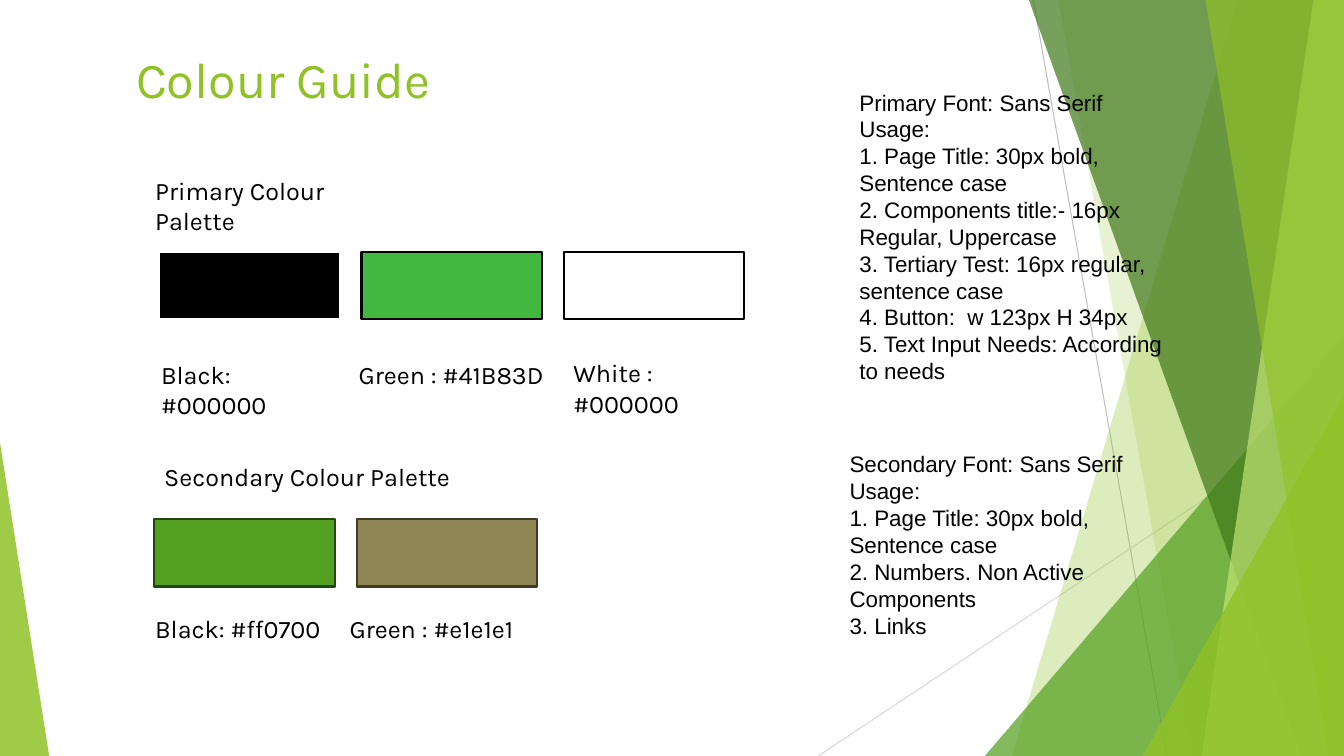
import pptx
import pptx.dml.color
import pptx.enum.shapes
import pptx.enum.text
import pptx.oxml.ns
import pptx.util
from lxml import etree

Cm = pptx.util.Cm
Pt = pptx.util.Pt
RGBColor = pptx.dml.color.RGBColor
SHAPE = pptx.enum.shapes.MSO_SHAPE
qn = pptx.oxml.ns.qn

BLACK = RGBColor(0x00, 0x00, 0x00)
WHITE = RGBColor(0xFF, 0xFF, 0xFF)
LIME = RGBColor(0x90, 0xC2, 0x26)
PALE_LIME = RGBColor(0xC0, 0xE4, 0x74)
LEAF = RGBColor(0x54, 0xA0, 0x21)
FOREST = RGBColor(0x3F, 0x78, 0x19)
DARK_LEAF = RGBColor(0x25, 0x46, 0x0E)
GREEN = RGBColor(0x41, 0xB8, 0x3D)
OLIVE = RGBColor(0x91, 0x86, 0x55)
DARK_OLIVE = RGBColor(0x40, 0x3B, 0x25)
GRAY = RGBColor(0xBF, 0xBF, 0xBF)
LIGHT_GRAY = RGBColor(0xD9, 0xD9, 0xD9)

WIDTH, HEIGHT = 33.87, 19.05

prs = pptx.Presentation()
prs.slide_width, prs.slide_height = Cm(WIDTH), Cm(HEIGHT)
slide = prs.slides.add_slide(prs.slide_layouts[6])
shapes = slide.shapes


def add_text(left, top, width, height, text, size, font, color):
    """Add a wrapped text box; text is a list of paragraphs."""
    s = shapes.add_textbox(Cm(left), Cm(top), Cm(width), Cm(height))
    tf = s.text_frame
    tf.word_wrap = True
    for i, line in enumerate(text):
        p = tf.paragraphs[0] if i == 0 else tf.add_paragraph()
        p.text = line
        for r in p.runs:
            for name, value in {"size": Pt(size), "name": font}.items():
                setattr(r.font, name, value)
            r.font.color.rgb = color
    return tf


# Thin background lines
for x1, y1, x2, y2, color in [
    (26.04, 0, 29.41, HEIGHT, GRAY),
    (WIDTH, 10.24, 20.62, HEIGHT, LIGHT_GRAY),
]:
    s = shapes.add_connector(pptx.enum.shapes.MSO_CONNECTOR.STRAIGHT,
                             Cm(x1), Cm(y1), Cm(x2), Cm(y2))
    s.line.color.rgb = color
    s.line.width = Pt(0.75)
    etree.SubElement(s._element.spPr, qn("a:effectLst"))

# Translucent facets: apex x, base left, base right, top, colour, opacity %
# Those that reach the top edge are four-sided, the others are triangles.
for apex, left, right, top, color, opacity in [
    (31.19, 25.5, WIDTH, 0, LIME, 30),
    (26.67, 30.05, WIDTH, 0, LIME, 20),
    (WIDTH, 24.82, WIDTH, 8.46, LEAF, 72),
    (25.93, 32.79, WIDTH, 0, FOREST, 70),
    (33.1, 30.28, WIDTH, 0, PALE_LIME, 70),
    (30.38, 33.48, WIDTH, 0, LIME, 65),
    (WIDTH, 28.8, WIDTH, 9.98, LIME, 80),
    (0, 0, 1.24, 11.15, LIME, 85),
]:
    if top == 0:
        builder = shapes.build_freeform(Cm(apex), Cm(top))
        builder.add_line_segments([(Cm(right), Cm(top)), (Cm(right), Cm(HEIGHT)),
                                   (Cm(left), Cm(HEIGHT))], close=True)
        s = builder.convert_to_shape()
    else:
        s = shapes.add_shape(SHAPE.ISOSCELES_TRIANGLE, Cm(left), Cm(top),
                             Cm(right - left), Cm(HEIGHT - top))
        s.adjustments[0] = (apex - left) / (right - left)
    s.shadow.inherit = False
    s.line.fill.background()
    s.fill.solid()
    s.fill.fore_color.rgb = color
    clr = s._element.spPr.find(qn("a:solidFill"))[0]
    etree.SubElement(clr, qn("a:alpha"), val=str(opacity * 1000))

title = add_text(3.18, 0.97, 27.43, 2.29, ["Colour Guide"], 36, "Karla", LIME)
title.margin_top = Cm(0.25)

# Colour swatches, one row per palette
for left, top, swatches in [
    (4.01, 6.35, [(BLACK, WHITE), (GREEN, BLACK), (None, BLACK)]),
    (3.89, 13.08, [(LEAF, DARK_LEAF), (OLIVE, DARK_OLIVE)]),
]:
    for i, (fill, line) in enumerate(swatches):
        s = shapes.add_shape(SHAPE.RECTANGLE, Cm(left + i * 5.1), Cm(top),
                             Cm(4.55), Cm(1.7))
        s.shadow.inherit = False
        s.line.color.rgb = line
        s.line.width = Pt(1.5)
        if fill is None:
            s.fill.background()
        else:
            s.fill.solid()
            s.fill.fore_color.rgb = fill

# Palette headings and swatch captions
for left, top, width, text in [
    (3.66, 4.29, 6.5, "Primary Colour Palette"),
    (3.89, 11.51, 8.2, "Secondary Colour Palette"),
    (3.81, 8.92, 4.83, "Black: #000000"),
    (14.2, 8.89, 5.26, "White : #000000"),
    (8.79, 8.92, 5.26, "Green : #41B83D"),
    (3.66, 15.34, 4.83, "Black: #ff0700"),
    (8.56, 15.34, 5.26, "Green : #e1e1e1"),
]:
    tf = add_text(left, top, width, 1.02, [text], 18, "Karla", BLACK)
    tf.auto_size = pptx.enum.text.MSO_AUTO_SIZE.SHAPE_TO_FIT_TEXT

# Font usage notes
for left, top, height, text in [
    (21.41, 2.11, 7.95, [
        "Primary Font: Sans Serif",
        "Usage:\n1. Page Title: 30px bold, Sentence case\n"
        "2. Components title:- 16px Regular, Uppercase\n"
        "3. Tertiary Test: 16px regular, sentence case\n"
        "4. Button:  w 123px H 34px",
        "5. Text Input Needs: According to needs",
    ]),
    (21.16, 11.23, 5.13, [
        "Secondary Font: Sans Serif",
        "Usage:\n1. Page Title: 30px bold, Sentence case\n"
        "2. Numbers. Non Active Components",
        "3. Links",
    ]),
]:
    tf = add_text(left, top, 8.43, height, text, 16, "Arial", BLACK)
    tf.auto_size = pptx.enum.text.MSO_AUTO_SIZE.SHAPE_TO_FIT_TEXT
    for p in tf.paragraphs:
        p.line_spacing = Pt(19.2)

prs.save("out.pptx")
